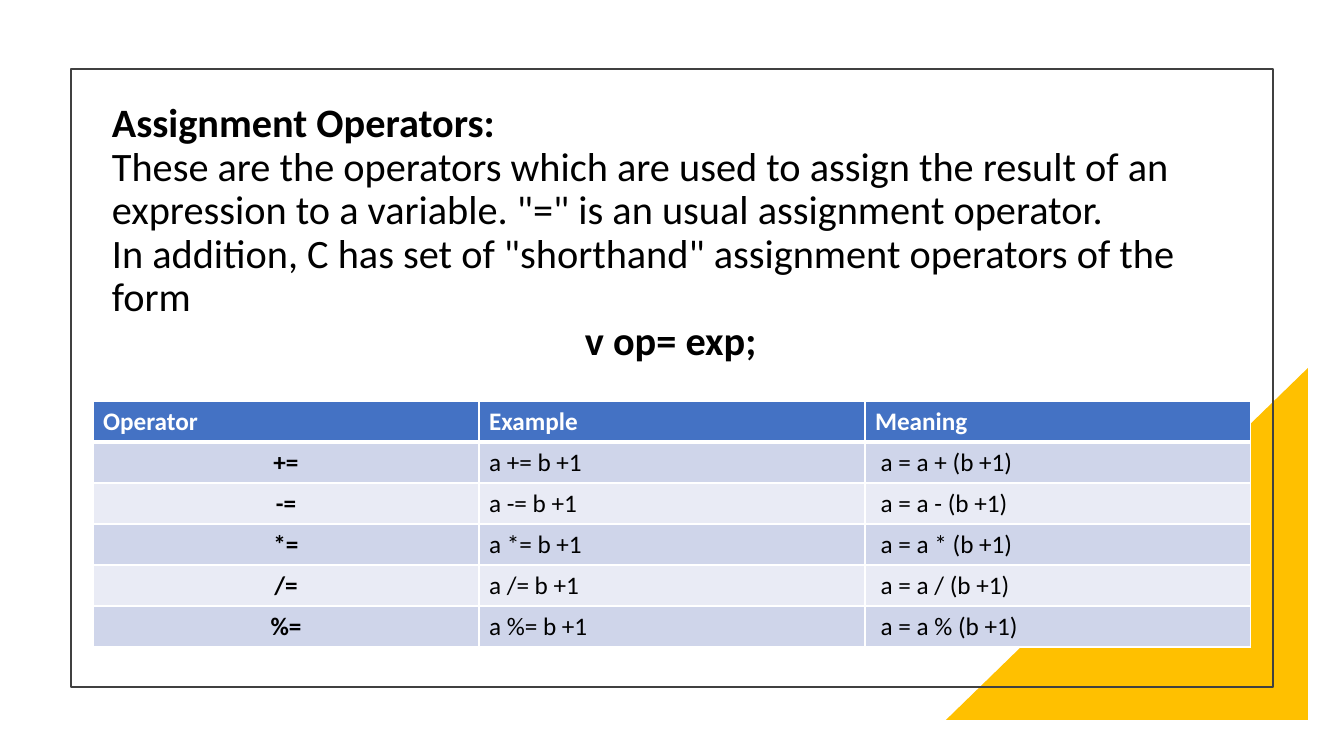
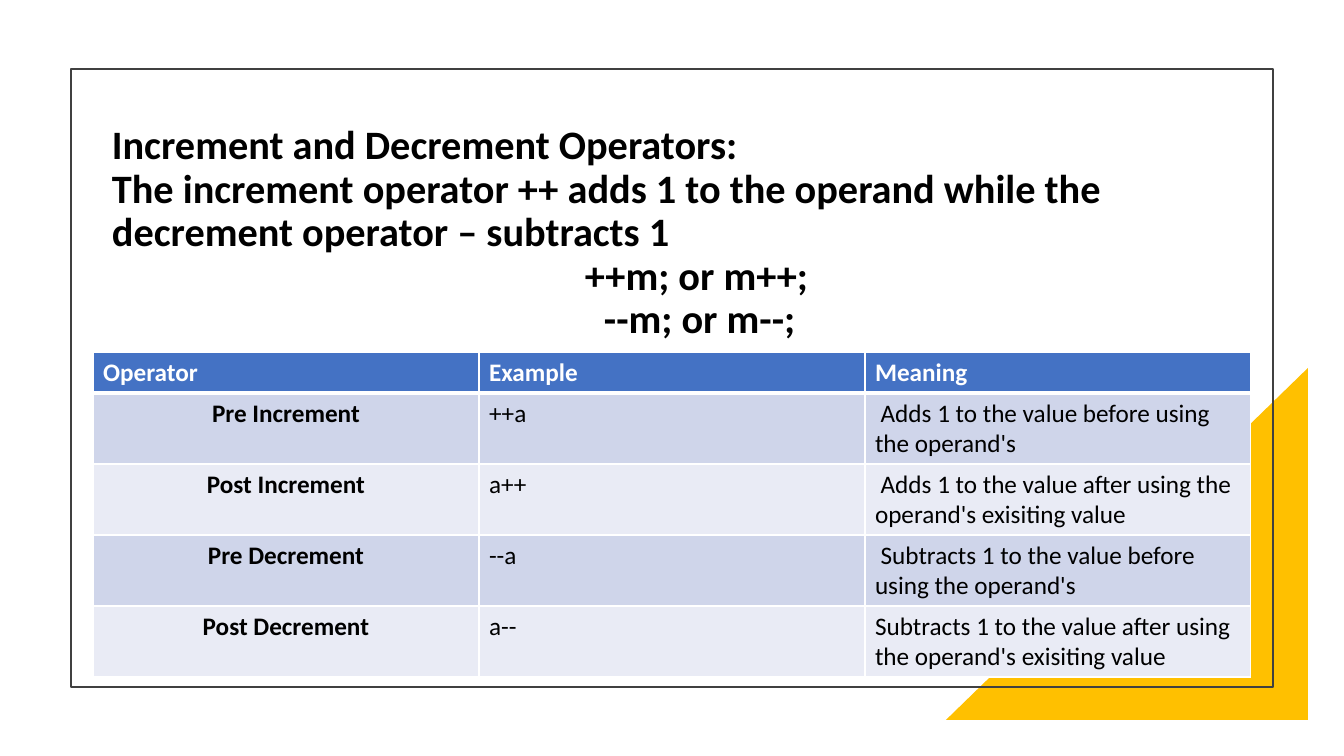
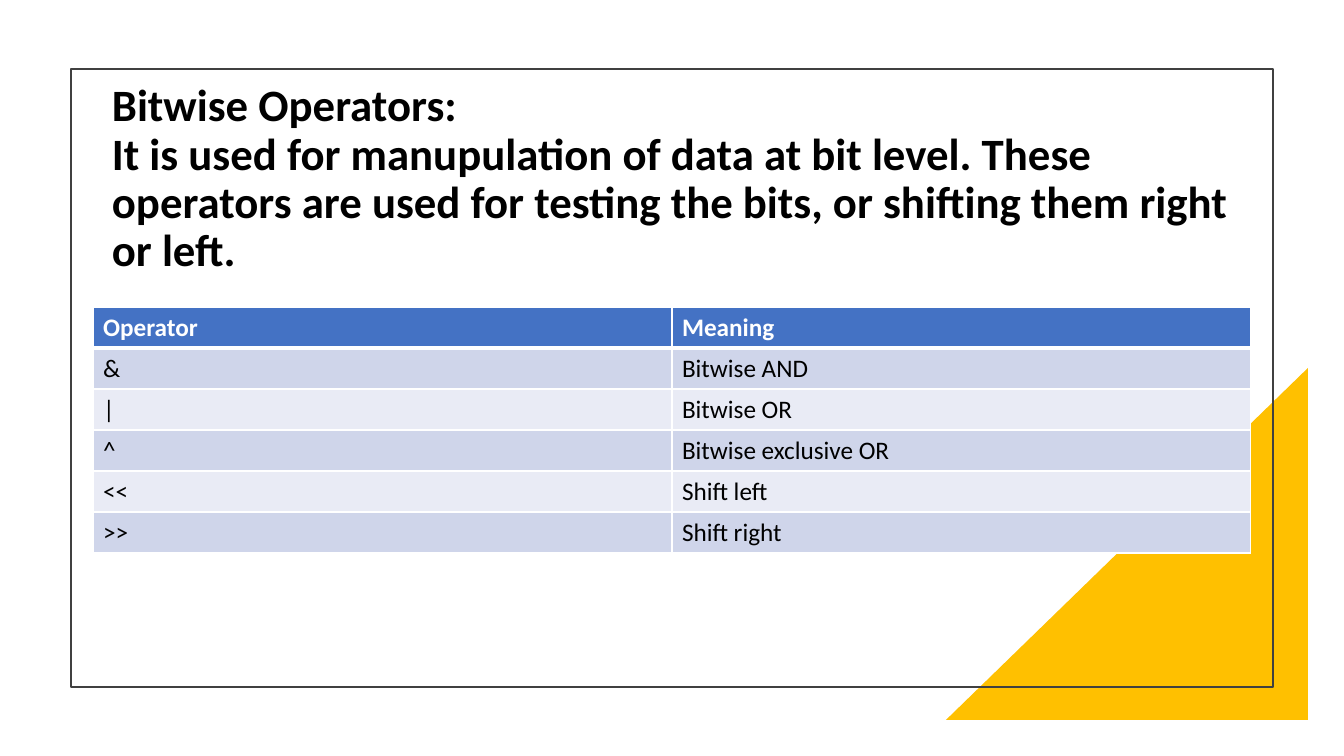
"""Three slides on C operators, each with a heading and a table in a common frame."""
from dataclasses import dataclass

from lxml import etree
from pptx import Presentation
from pptx import util as u
from pptx.dml.color import RGBColor
from pptx.enum import shapes, text
from pptx.oxml.ns import qn

SCALE = 914400 / 100.8


@dataclass(frozen=True)
class Theme:
    font: str = "Calibri"
    ink: str = "000000"
    paper: str = "FFFFFF"
    accent: str = "FFC000"
    frame: str = "404040"
    header: str = "4472C4"
    bands: tuple = ("CFD5EA", "E9EBF5")
    cell_size: int = 18
    frame_width: float = 1.5
    rule: int = 1
    header_rule: int = 3
    heading_spacing: float = 0.9


THEME = Theme()
SLIDE_SIZE = (1344, 756)
CORNER = (946, 368, 362, 352)
FRAME = (71, 69, 1202, 618)
HEADING_LEFT, HEADING_WIDTH = 102, 1139
TABLE_LEFT, TABLE_WIDTH = 93, 1158
HEADER_HEIGHT = 41

SLIDES = [
    {
        "heading_top": 103, "heading_height": 262, "heading_size": 28.8,
        "heading": [
            ("Assignment Operators:", True, 0),
            ("These are the operators which are used to assign the result of an expression "
             "to a variable. \"=\" is an usual assignment operator.", False, 0),
            ("In addition, C has set of \"shorthand\" assignment operators of the form", False, 0),
            ("v op= exp;", True, 473),
        ],
        "table_top": 401, "row_height": 41, "key_column": True,
        "rows": [
            ("Operator", "Example", "Meaning"),
            ("+=", "a += b +1", " a = a + (b +1)"),
            ("-=", "a -= b +1", " a = a - (b +1)"),
            ("*=", "a *= b +1", " a = a * (b +1)"),
            ("/=", "a /= b +1", " a = a / (b +1)"),
            ("%=", "a %= b +1", " a = a % (b +1)"),
        ],
    },
    {
        "heading_top": 125, "heading_height": 218, "heading_size": 28.8,
        "heading": [
            ("Increment and Decrement Operators:", True, 0),
            ("The increment operator ++ adds 1 to the operand while the decrement operator "
             "– subtracts 1", True, 0),
            ("++m; or m++;", True, 473),
            ("--m; or m--;", True, 492),
        ],
        "table_top": 352, "row_height": 71, "key_column": True,
        "rows": [
            ("Operator", "Example", "Meaning"),
            ("Pre Increment", "++a", " Adds 1 to the value before using the operand's"),
            ("Post Increment", "a++",
             " Adds 1 to the value after using the operand's exisiting value"),
            ("Pre Decrement", "--a", " Subtracts 1 to the value before using the operand's"),
            ("Post Decrement", "a--",
             "Subtracts 1 to the value after using the operand's exisiting value"),
        ],
    },
    {
        "heading_top": 83, "heading_height": 194, "heading_size": 32,
        "heading": [
            ("Bitwise Operators:", True, 0),
            ("It is used for manupulation of data at bit level. These operators are used for "
             "testing the bits, or shifting them right or left.", True, 0),
        ],
        "table_top": 307, "row_height": 41, "key_column": False,
        "rows": [
            ("Operator", "Meaning"),
            ("&", "Bitwise AND"),
            ("|", "Bitwise OR"),
            ("^", "Bitwise exclusive OR"),
            ("<<", "Shift left"),
            (">>", "Shift right"),
        ],
    },
]


def px(length):
    return u.Emu(round(length * SCALE))


def box(*lengths):
    return [px(length) for length in lengths]


def paint(fill, color):
    fill.solid()
    fill.fore_color.rgb = RGBColor.from_string(color)


def write(paragraph, words, *, size, color=THEME.ink, bold=False, centered=False,
          indent=0, spacing=1.0):
    run = paragraph.add_run()
    run.text = words
    run.font.name = THEME.font
    run.font.size = u.Pt(size)
    run.font.bold = bold
    run.font.color.rgb = RGBColor.from_string(color)
    paragraph.alignment = text.PP_ALIGN.CENTER if centered else text.PP_ALIGN.LEFT
    paragraph.line_spacing = spacing
    if indent:
        paragraph._p.get_or_add_pPr().set("marL", str(px(indent)))


def add_frame(slide):
    corner = slide.shapes.add_shape(shapes.MSO_SHAPE.RIGHT_TRIANGLE, *box(*CORNER))
    corner.shadow.inherit = False
    corner._element.spPr.xfrm.set("flipH", "1")
    paint(corner.fill, THEME.accent)
    corner.line.fill.background()

    frame = slide.shapes.add_shape(shapes.MSO_SHAPE.RECTANGLE, *box(*FRAME))
    frame.shadow.inherit = False
    frame.fill.background()
    paint(frame.line.fill, THEME.frame)
    frame.line.width = u.Pt(THEME.frame_width)


def add_heading(slide, content):
    heading = slide.shapes.add_textbox(
        *box(HEADING_LEFT, content["heading_top"], HEADING_WIDTH, content["heading_height"]))
    frame = heading.text_frame
    frame.word_wrap = True
    frame.margin_top = frame.margin_bottom = 0
    for index, (words, bold, indent) in enumerate(content["heading"]):
        paragraph = frame.add_paragraph() if index else frame.paragraphs[0]
        write(paragraph, words, size=content["heading_size"], bold=bold, indent=indent,
              spacing=THEME.heading_spacing)


def set_borders(cell, top, bottom):
    properties = cell._tc.get_or_add_tcPr()
    sides = (("lnL", THEME.rule), ("lnR", THEME.rule), ("lnT", top), ("lnB", bottom))
    for position, (side, width) in enumerate(sides):
        line = etree.Element(qn(f"a:{side}"), w=str(u.Pt(width)))
        fill = etree.SubElement(line, qn("a:solidFill"))
        etree.SubElement(fill, qn("a:srgbClr"), val=THEME.paper)
        properties.insert(position, line)


def add_table(slide, content):
    rows = content["rows"]
    columns = len(rows[0])
    height = HEADER_HEIGHT + content["row_height"] * (len(rows) - 1)
    table = slide.shapes.add_table(
        len(rows), columns, *box(TABLE_LEFT, content["table_top"], TABLE_WIDTH, height)).table
    table.horz_banding = False
    for column in table.columns:
        column.width = px(TABLE_WIDTH / columns)
    for r, values in enumerate(rows):
        header = r == 0
        table.rows[r].height = px(HEADER_HEIGHT if header else content["row_height"])
        for c, words in enumerate(values):
            cell = table.cell(r, c)
            key = content["key_column"] and c == 0 and not header
            paint(cell.fill, THEME.header if header else THEME.bands[(r - 1) % 2])
            set_borders(cell,
                        top=THEME.header_rule if r == 1 else THEME.rule,
                        bottom=THEME.header_rule if header else THEME.rule)
            write(cell.text_frame.paragraphs[0], words, size=THEME.cell_size,
                  color=THEME.paper if header else THEME.ink,
                  bold=header or key, centered=key)


def main():
    presentation = Presentation()
    presentation.slide_width, presentation.slide_height = box(*SLIDE_SIZE)
    for content in SLIDES:
        slide = presentation.slides.add_slide(presentation.slide_layouts[6])
        paint(slide.background.fill, THEME.paper)
        add_frame(slide)
        add_heading(slide, content)
        add_table(slide, content)
    presentation.save("out.pptx")


if __name__ == "__main__":
    main()
